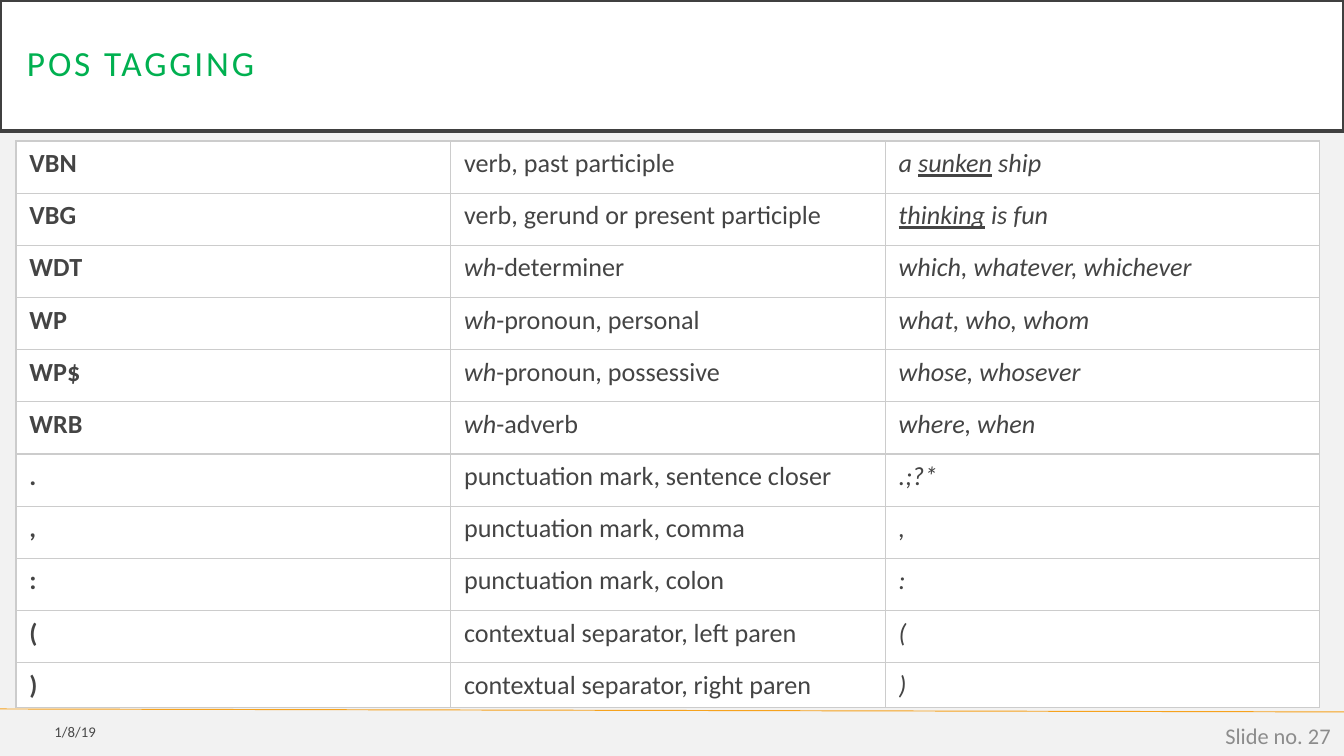
from lxml import etree
from pptx import Presentation
from pptx.dml.color import RGBColor
from pptx.enum.shapes import MSO_CONNECTOR
from pptx.enum.text import MSO_ANCHOR, PP_ALIGN
from pptx.oxml.ns import qn
from pptx.util import Pt

STRAIGHT = MSO_CONNECTOR.STRAIGHT
MIDDLE = MSO_ANCHOR.MIDDLE
LEFT, RIGHT = PP_ALIGN.LEFT, PP_ALIGN.RIGHT
FONT = "Calibri"
WIDTH, HEIGHT = 1344, 756
TITLE_ONLY = 5

TAGS = [
    ("VBN", "verb, past participle", "a _sunken_ ship"),
    ("VBG", "verb, gerund or present participle", "_thinking_ is fun"),
    ("WDT", "_wh_-determiner", "which, whatever, whichever"),
    ("WP", "_wh_-pronoun, personal", "what, who, whom"),
    ("WP$", "_wh_-pronoun, possessive", "whose, whosever"),
    ("WRB", "_wh_-adverb", "where, when"),
    (".", "punctuation mark, sentence closer", ".;?*"),
    (",", "punctuation mark, comma", ","),
    (":", "punctuation mark, colon", ":"),
    ("(", "contextual separator, left paren", "("),
    (")", "contextual separator, right paren", ")"),
]


def px(n):
    return round(n * 9144000 / WIDTH)


def rgb(color):
    return RGBColor.from_string(color)


def place(sp, x, y, w, h):
    sp.left, sp.top, sp.width, sp.height = px(x), px(y), px(w), px(h)


def style_run(r, size, color):
    r.font.name = FONT
    r.font.size = Pt(size)
    r.font.color.rgb = rgb(color)


def add_title(slide, text, x, y, w, h):
    sp = slide.shapes.title
    place(sp, x, y, w, h)
    sp.fill.solid()
    sp.fill.fore_color.rgb = rgb("FFFFFF")
    sp.line.color.rgb = rgb("404040")
    sp.line.width = Pt(2.5)
    tf = sp.text_frame
    tf.text = text
    tf.word_wrap = True
    tf.vertical_anchor = MIDDLE
    tf.margin_left = tf.margin_right = tf.margin_top = tf.margin_bottom = px(27)
    p = tf.paragraphs[0]
    p.alignment = LEFT
    p.line_spacing = 0.9
    r = p.runs[0]
    style_run(r, 18.9, "00B050")
    r.font._element.set("spc", "150")


def add_borders(cell, color, width):
    tc_pr = cell._tc.get_or_add_tcPr()
    for side in ("lnL", "lnR", "lnT", "lnB"):
        ln = etree.SubElement(tc_pr, qn(f"a:{side}"), w=str(Pt(width)))
        fill = etree.SubElement(ln, qn("a:solidFill"))
        etree.SubElement(fill, qn("a:srgbClr"), val=color)


def fill_cell(cell, text, col):
    add_borders(cell, "CCCCCC", 0.75)
    cell.fill.solid()
    cell.fill.fore_color.rgb = rgb("FFFFFF")
    p = cell.text_frame.paragraphs[0]
    for i, part in enumerate(text.split("_")):
        if not part:
            continue
        marked = i % 2 == 1
        r = p.add_run()
        r.text = part
        style_run(r, 14, "444444")
        r.font.bold = col == 0
        r.font.italic = col == 2 or (col == 1 and marked)
        r.font.underline = col == 2 and marked


def add_tag_table(slide, x, y, w, h, last_h):
    rows, cols = len(TAGS), len(TAGS[0])
    frame = slide.shapes.add_table(rows, cols, px(x), px(y), px(w), px(h))
    table = frame.table
    table.first_row = False
    table.horz_banding = False
    for column in table.columns:
        column.width = px(w) // cols
    for row in table.rows:
        row.height = px(h - last_h) // (rows - 1)
    table.rows[rows - 1].height = px(last_h)
    for i, tag in enumerate(TAGS):
        for j, text in enumerate(tag):
            fill_cell(table.cell(i, j), text, j)


def add_label(slide, text, x, y, w, h, size, color):
    sp = slide.shapes.add_textbox(px(x), px(y), px(w), px(h))
    tf = sp.text_frame
    tf.text = text
    tf.word_wrap = True
    tf.vertical_anchor = MIDDLE
    p = tf.paragraphs[0]
    p.alignment = RIGHT
    style_run(p.runs[0], size, color)


def add_footer(slide, x, y, w, h):
    line = slide.shapes.add_connector(STRAIGHT, px(x), px(y), px(x + w), px(y + 3))
    line.line.color.rgb = rgb("F6A21D")
    line.line.width = Pt(0.5)
    etree.SubElement(line._element.spPr, qn("a:effectLst"))
    add_label(slide, "1/8/19", x, y + 4, 109, h - 10, 7.9, "494949")
    add_label(slide, "Slide no. 27", x + w - 302, y + 6, 302, h - 6, 12, "8C8C8C")


def main():
    prs = Presentation()
    prs.slide_width, prs.slide_height = px(WIDTH), px(HEIGHT)
    slide = prs.slides.add_slide(prs.slide_layouts[TITLE_ONLY])
    slide.background.fill.solid()
    slide.background.fill.fore_color.rgb = rgb("F2F2F2")
    add_title(slide, "POS TAGGING", 0, 0, WIDTH, 131)
    add_footer(slide, 0, 709, WIDTH, 47)
    add_tag_table(slide, 16, 141, 1304, 567, 45)
    prs.save("out.pptx")


if __name__ == "__main__":
    main()
